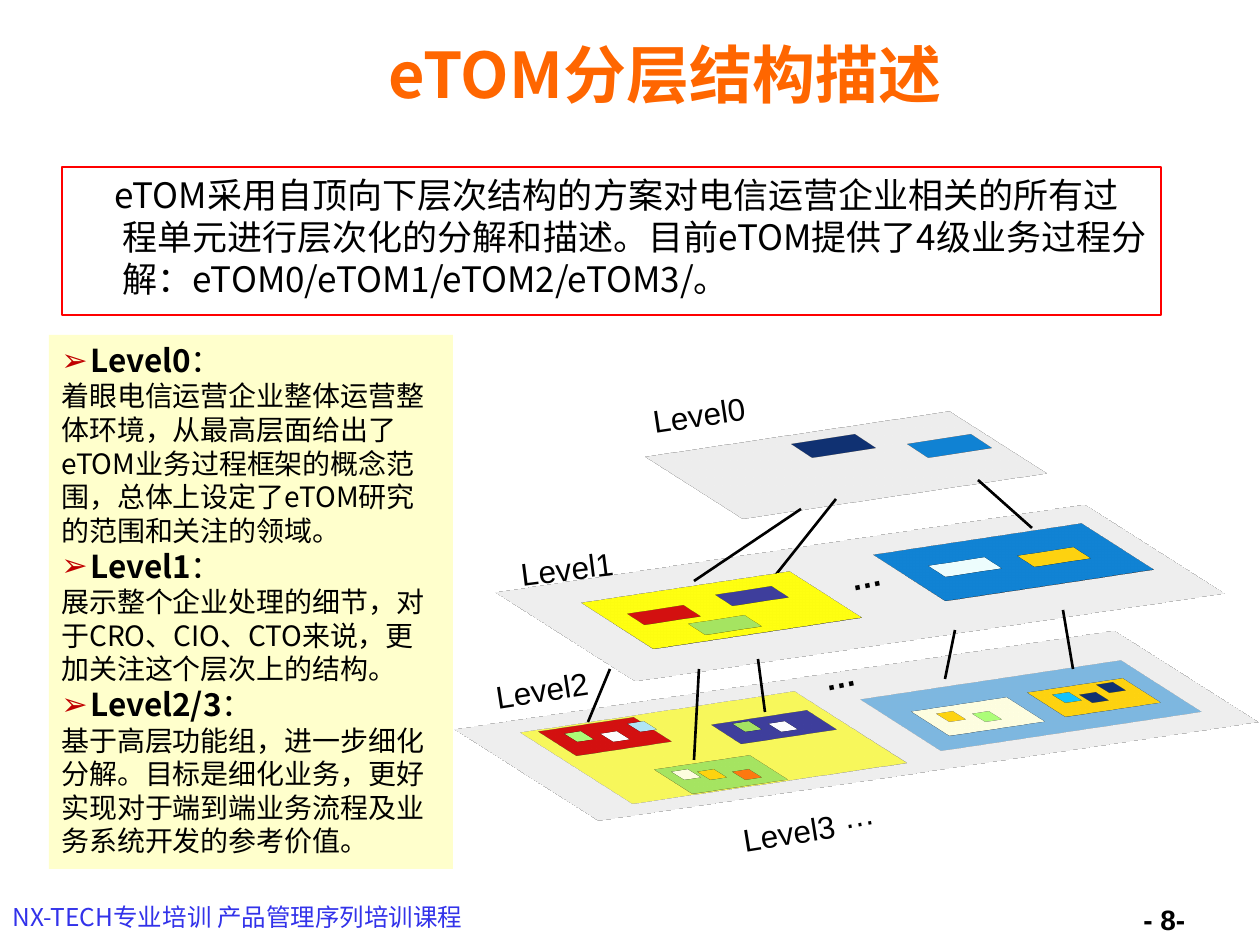
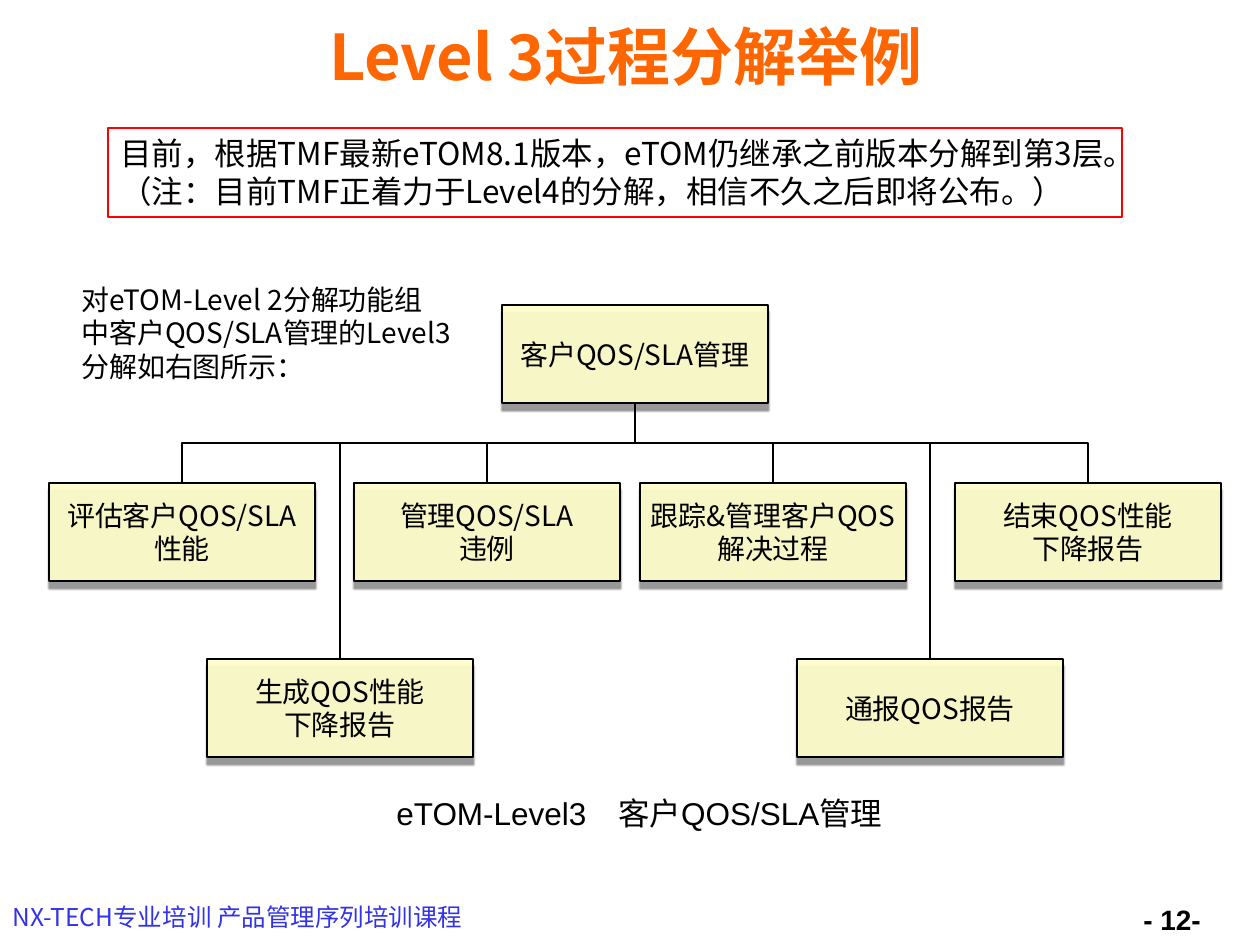
from lxml import etree
from pptx import Presentation
from pptx.dml.color import RGBColor
from pptx.enum.shapes import MSO_CONNECTOR, MSO_SHAPE
from pptx.enum.text import MSO_ANCHOR, PP_ALIGN
from pptx.oxml.ns import qn
from pptx.util import Emu, Pt

RECT = MSO_SHAPE.RECTANGLE
STRAIGHT, ELBOW = MSO_CONNECTOR.STRAIGHT, MSO_CONNECTOR.ELBOW
LEFT, CENTER = PP_ALIGN.LEFT, PP_ALIGN.CENTER
TOP, MIDDLE = MSO_ANCHOR.TOP, MSO_ANCHOR.MIDDLE

SCALE = 914400 / 126
CJK, CJK_NODE, LATIN = "Noto Sans CJK SC", "Noto Sans CJK JP", "Arial"

BLACK = RGBColor(0x00, 0x00, 0x00)
WHITE = RGBColor(0xFF, 0xFF, 0xFF)
ORANGE = RGBColor(0xFF, 0x66, 0x00)
FOOTER_BLUE = RGBColor(0x32, 0x32, 0xEA)
FRAME_RED = RGBColor(0xFF, 0x00, 0x00)
RED = RGBColor(0xC0, 0x00, 0x00)
CREAM = RGBColor(0xFF, 0xFF, 0xCC)
GRAY = RGBColor(0xD9, 0xD9, 0xD9)
BLUE = RGBColor(0x00, 0x70, 0xC0)
NAVY = RGBColor(0x00, 0x20, 0x60)
INDIGO = RGBColor(0x2D, 0x2D, 0x8A)
YELLOW = RGBColor(0xFF, 0xFF, 0x00)
GOLD = RGBColor(0xFF, 0xC0, 0x00)
GREEN = RGBColor(0x92, 0xD0, 0x50)
LIME = RGBColor(0x99, 0xFF, 0x66)
ICE = RGBColor(0xDA, 0xED, 0xEF)
SKY = RGBColor(0x9D, 0xD2, 0xE2)
CYAN = RGBColor(0x00, 0xB0, 0xF0)


def px(value):
    return Emu(round(value * SCALE))


def sub(parent, tag, **attrs):
    el = etree.SubElement(parent, qn(tag))
    for name, value in attrs.items():
        el.set(name, str(value))
    return el


def write(tf, text, lead="", size=16, font=CJK, color=BLACK, bold=False,
          align=LEFT, margin=0, indent=0, bullet=""):
    p = tf.paragraphs[0]
    if p.runs:
        p = tf.add_paragraph()
    pPr = p._p.get_or_add_pPr()
    pPr.set("marL", str(px(margin)))
    pPr.set("indent", str(px(indent)))
    if bullet:
        sub(sub(pPr, "a:buClr"), "a:srgbClr", val=RED)
        sub(pPr, "a:buFont", typeface=LATIN)
        sub(pPr, "a:buChar", char=bullet)
    else:
        sub(pPr, "a:buNone")
    p.alignment = align
    p.space_before = Pt(0)
    if font != LATIN:
        p.line_spacing = Pt(round(size * 1.2, 1))
    for part, heavy in ((lead, True), (text, bold)):
        if part:
            r = p.add_run()
            r.text = part
            r.font.size = Pt(size)
            r.font.bold = heavy
            r.font.color.rgb = color
            r.font.name = font
            sub(r._r.get_or_add_rPr(), "a:ea",
                typeface=CJK if font == LATIN else font)


class Deck:
    def __init__(self):
        self.prs = Presentation()
        self.prs.slide_width, self.prs.slide_height = px(1260), px(945)
        self.s = None

    def slide(self, title, x, y, number):
        self.s = self.prs.slides.add_slide(self.prs.slide_layouts[5])
        sp = self.s.shapes.title
        sp.left, sp.top, sp.width, sp.height = px(x), px(y), px(1134), px(110)
        sp.text_frame.vertical_anchor = MIDDLE
        write(sp.text_frame, title, size=36, color=ORANGE, bold=True,
              align=CENTER)
        self.text(0, 896, 501, 43, "NX-TECH专业培训 产品管理序列培训课程",
                  size=14, color=FOOTER_BLUE)
        self.text(1131, 896, 98, 49, f"- {number}-", font=LATIN, bold=True)

    def text(self, x, y, w, h, text, rotation=0, **fmt):
        sp = self.s.shapes.add_textbox(px(x), px(y), px(w), px(h))
        sp.rotation = rotation
        sp.text_frame.word_wrap = True
        write(sp.text_frame, text, **fmt)

    def box(self, x, y, w, h, fill=None, line=None, alpha=100,
            anchor=TOP, wrap=True):
        sp = self.s.shapes.add_shape(RECT, px(x), px(y), px(w), px(h))
        sp.shadow.inherit = False
        if fill is None:
            sp.fill.background()
        else:
            sp.fill.solid()
            sp.fill.fore_color.rgb = fill
        if alpha < 100:
            solid = sp._element.spPr.find(qn("a:solidFill"))
            sub(solid.find(qn("a:srgbClr")), "a:alpha", val=alpha * 1000)
        if line is None:
            sp.line.fill.background()
        else:
            sp.line.color.rgb = line
            sp.line.width = Pt(0.75)
        sp.text_frame.word_wrap = wrap
        sp.text_frame.vertical_anchor = anchor
        return sp

    def plate(self, x, y, w, h, fill, alpha=100):
        sp = self.box(x, y, w, h, fill, BLACK, alpha)
        scene = sub(sp._element.spPr, "a:scene3d")
        sub(scene, "a:camera", prst="isometricOffAxis1Top")
        sub(scene, "a:lightRig", rig="threePt", dir="t")

    def node(self, x, y, *lines):
        sp = self.box(x, y, 266, 98, CREAM, BLACK, 92, MIDDLE, False)
        effects = sp._element.spPr.find(qn("a:effectLst"))
        shadow = sub(effects, "a:outerShdw", blurRad=Pt(1), dist=Pt(4),
                     dir=5400000, algn="ctr", rotWithShape=0)
        sub(sub(shadow, "a:srgbClr", val=BLACK), "a:alpha", val=43000)
        for line in lines:
            write(sp.text_frame, line, font=CJK_NODE, align=CENTER)

    def line(self, x1, y1, x2, y2, kind=STRAIGHT, width=1.5):
        c = self.s.shapes.add_connector(kind, px(x1), px(y1), px(x2), px(y2))
        c.line.color.rgb = BLACK
        c.line.width = Pt(width)
        sub(c._element.spPr, "a:effectLst")
        return c

    def branch(self, x1, y1, x2, y2, drop):
        run, fall = x2 - x1, y2 - y1
        cx, cy = (x1 + x2) / 2, (y1 + y2) / 2
        side = 1 if run < 0 else -1
        c = self.line(cx - side * fall / 2, cy - abs(run) / 2,
                      cx + side * fall / 2, cy + abs(run) / 2, ELBOW, 1)
        spPr = c._element.spPr
        spPr.find(qn("a:xfrm")).set("rot", str(side * 5400000 % 21600000))
        geom = spPr.find(qn("a:prstGeom"))
        guides = geom.find(qn("a:avLst"))
        if guides is None:
            guides = sub(geom, "a:avLst")
        sub(guides, "a:gd", name="adj1", fmla=f"val {drop * 100000 // fall}")


def layers_slide(d):
    d.slide("eTOM分层结构描述", 98, 18, 8)
    intro = d.box(62, 167, 1099, 148, line=FRAME_RED)
    write(intro.text_frame,
          "eTOM采用自顶向下层次结构的方案对电信运营企业相关的所有过程单元进行层次化的"
          "分解和描述。目前eTOM提供了4级业务过程分解：eTOM0/eTOM1/eTOM2/eTOM3/。",
          size=20, margin=48, indent=-8)

    levels = d.box(49, 335, 404, 534, CREAM)
    for name, detail in (
        ("Level0", "着眼电信运营企业整体运营整体环境，从最高层面给出了eTOM业务过程框架的"
                   "概念范围，总体上设定了eTOM研究的范围和关注的领域。"),
        ("Level1", "展示整个企业处理的细节，对于CRO、CIO、CTO来说，更加关注这个层次上的结构。"),
        ("Level2/3", "基于高层功能组，进一步细化分解。目标是细化业务，更好实现对于端到端"
                     "业务流程及业务系统开发的参考价值。"),
    ):
        write(levels.text_frame, "：", lead=name, size=18, bullet="➢",
              margin=29, indent=-29)
        write(levels.text_frame, detail)

    for plate in (
        (677, 354, 338, 222, GRAY), (489, 561, 735, 329, GRAY),
        (914, 422, 71, 48, BLUE), (798, 422, 71, 48, NAVY),
        (561, 620, 305, 256, YELLOW, 42), (886, 614, 290, 184, BLUE, 30),
        (532, 433, 656, 319, GRAY),
    ):
        d.plate(*plate)
    for ends in (
        (610, 669, 588, 722), (801, 509, 694, 581), (1063, 610, 1073, 669),
        (955, 630, 945, 679), (758, 659, 765, 712), (699, 669, 694, 760),
        (978, 480, 1032, 528), (836, 499, 774, 577),
    ):
        d.line(*ends)
    for x, y, fill in ((606, 528, YELLOW), (898, 480, BLUE)):
        d.plate(x, y, 231, 164, fill)
    for x, y, fill in ((633, 596, RED), (721, 577, INDIGO), (934, 548, ICE),
                       (1023, 538, GOLD), (694, 606, GREEN)):
        d.plate(x, y, 62, 39, fill)
    for x, y, h, fill in ((552, 693, 87, RED), (668, 731, 87, GREEN),
                          (721, 693, 68, INDIGO), (925, 673, 87, CREAM),
                          (1041, 654, 87, GOLD)):
        d.plate(x, y, 106, h, fill)
    for x, y, fill in (
        (570, 722, LIME), (606, 722, WHITE), (633, 712, SKY),
        (774, 712, WHITE), (738, 712, GREEN),
        (677, 760, CREAM), (703, 760, GOLD), (738, 760, ORANGE),
        (942, 702, GOLD), (978, 702, LIME),
        (1058, 683, CYAN), (1085, 683, NAVY), (1102, 673, NAVY),
    ):
        d.plate(x, y, 18, 29, fill)

    for x, y, w, text, rotation, bold in (
        (640, 387, 151, "Level0", 351.5, False),
        (508, 541, 151, "Level1", 352.8, False),
        (483, 662, 151, "Level2", 351.2, False),
        (730, 805, 151, "Level3", 350.9, False),
        (837, 548, 88, "…", 348.4, True),
        (811, 648, 88, "…", 348.4, True),
        (830, 788, 66, "…", 349.8, False),
    ):
        d.text(x, y, w, 50, text, rotation=rotation, size=18, font=LATIN,
               bold=bold)


def example_slide(d):
    d.slide("Level 3过程分解举例", 59, 0, 12)
    d.node(502, 305, "客户QOS/SLA管理")
    for x, y, *lines in (
        (49, 483, "评估客户QOS/SLA", "性能"),
        (354, 483, "管理QOS/SLA", "违例"),
        (640, 483, "跟踪&管理客户QOS", "解决过程"),
        (955, 483, "结束QOS性能", "下降报告"),
        (207, 659, "生成QOS性能", "下降报告"),
        (797, 659, "通报QOS报告"),
    ):
        d.node(x, y, *lines)
        d.branch(635, 403, x + 133, y, 40)

    note = d.box(108, 128, 1014, 89, line=FRAME_RED)
    for line in ("目前，根据TMF最新eTOM8.1版本，eTOM仍继承之前版本分解到第3层。",
                 "（注：目前TMF正着力于Level4的分解，相信不久之后即将公布。）"):
        write(note.text_frame, line, size=18)
    d.text(384, 788, 679, 50, "eTOM-Level3　客户QOS/SLA管理", size=18,
           font=LATIN)
    d.text(69, 276, 394, 115,
           "对eTOM-Level 2分解功能组中客户QOS/SLA管理的Level3分解如右图所示：")


def main():
    d = Deck()
    layers_slide(d)
    example_slide(d)
    d.prs.save("out.pptx")


if __name__ == "__main__":
    main()
